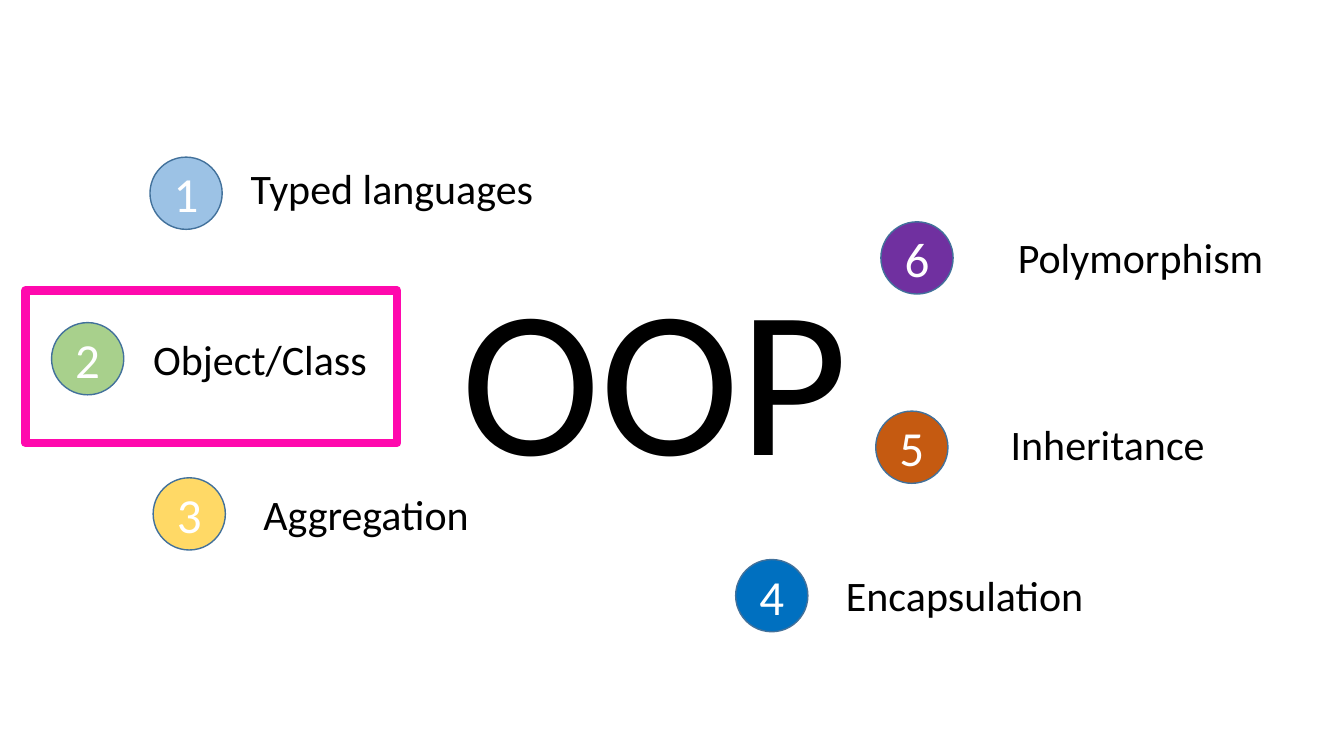
from dataclasses import dataclass
from pptx import Presentation
from pptx.dml.color import RGBColor
from pptx.enum.shapes import MSO_SHAPE
from pptx.enum.text import MSO_ANCHOR, MSO_AUTO_SIZE, PP_ALIGN
from pptx.util import Cm, Pt

OVAL = MSO_SHAPE.OVAL
RECT = MSO_SHAPE.RECTANGLE
MIDDLE = MSO_ANCHOR.MIDDLE
CENTER = PP_ALIGN.CENTER
GROW = MSO_AUTO_SIZE.SHAPE_TO_FIT_TEXT


@dataclass(frozen=True)
class Theme:
    font: str = "Calibri"
    title: int = 150
    label: int = 30
    digit: int = 35
    ink: str = "000000"
    white: str = "FFFFFF"
    edge: str = "42719B"
    frame: str = "FF09AD"
    fills: tuple = ("9CC2E5", "A8D08C", "FFD966", "0070C0", "C55A11", "7030A0")


theme = Theme()


def write(shape, text, size, color):
    frame = shape.text_frame
    frame.text = text
    font = frame.paragraphs[0].runs[0].font
    font.name = theme.font
    font.size = Pt(size)
    font.color.rgb = RGBColor.from_string(color)


def label(text, left, top, width, height, size):
    box = slide.shapes.add_textbox(Cm(left), Cm(top), Cm(width), Cm(height))
    box.text_frame.word_wrap = True
    box.text_frame.auto_size = GROW
    write(box, text, size, theme.ink)


deck = Presentation()
deck.slide_width = Cm(33.87)
deck.slide_height = Cm(19.05)
slide = deck.slides.add_slide(deck.slide_layouts[6])

label("OOP", 11.38, 6.05, 10.36, 6.68, theme.title)

topics = [
    ("Typed languages", (3.78, 3.96), (6.07, 3.96), 7.7),
    ("Object/Class", (1.3, 8.13), (3.61, 8.28), 5.94),
    ("Aggregation", (3.86, 12.04), (6.39, 12.19), 6.78),
    ("Encapsulation", (18.54, 14.1), (21.07, 14.22), 7.7),
    ("Inheritance", (22.07, 10.36), (25.22, 10.41), 6.99),
    ("Polymorphism", (22.2, 5.59), (25.4, 5.72), 7.7),
]
side = Cm(1.82)
for number, (topic, spot, place, width) in enumerate(topics, 1):
    label(topic, *place, width, 1.55, theme.label)
    badge = slide.shapes.add_shape(OVAL, Cm(spot[0]), Cm(spot[1]), side, side)
    badge.shadow.inherit = False
    badge.fill.solid()
    badge.fill.fore_color.rgb = RGBColor.from_string(theme.fills[number - 1])
    badge.line.color.rgb = RGBColor.from_string(theme.edge)
    badge.line.width = Pt(1)
    write(badge, str(number), theme.digit, theme.white)
    badge.text_frame.vertical_anchor = MIDDLE
    badge.text_frame.paragraphs[0].alignment = CENTER

focus = slide.shapes.add_shape(RECT, Cm(0.64), Cm(7.32), Cm(9.37), Cm(3.84))
focus.shadow.inherit = False
focus.fill.background()
focus.line.color.rgb = RGBColor.from_string(theme.frame)
focus.line.width = Pt(6)

deck.save("out.pptx")
